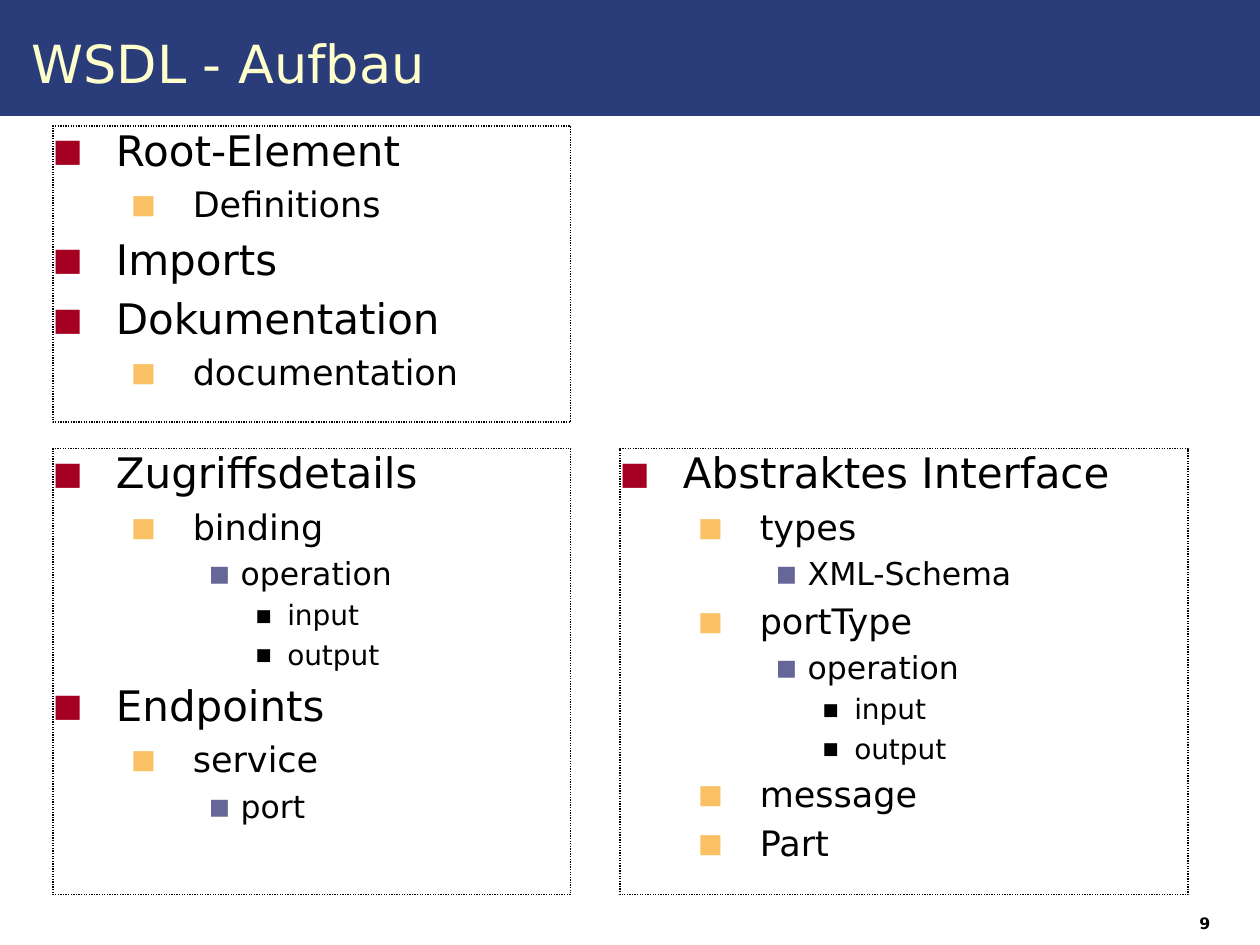
"""Build the slide on the structure of a WSDL document."""
from lxml import etree
from pptx import Presentation
from pptx.dml.color import RGBColor
from pptx.enum.dml import MSO_LINE
from pptx.enum.shapes import MSO_SHAPE
from pptx.enum.text import MSO_ANCHOR, MSO_AUTO_SIZE, PP_ALIGN
from pptx.oxml.ns import qn
from pptx.util import Inches, Pt

RECTANGLE = MSO_SHAPE.RECTANGLE
DOTTED = MSO_LINE.ROUND_DOT
TOP, MIDDLE, BOTTOM = MSO_ANCHOR.TOP, MSO_ANCHOR.MIDDLE, MSO_ANCHOR.BOTTOM
NO_AUTOFIT = MSO_AUTO_SIZE.NONE
LEFT = PP_ALIGN.LEFT
FONT = "DejaVu Sans"
CELL = Inches(0.1)
COLUMNS, ROWS = 100, 75

LEFT_COLUMN, RIGHT_COLUMN = (4.2, 41.1), (49.2, 45.1)
UPPER_ROW, LOWER_ROW = (10, 23.5), (35.6, 35.4)
LEVELS = [
    {"size": 24, "margin": 0.5, "hanging": 0.5, "before": 6, "color": "A50021", "bullet": 75},
    {"size": 20, "margin": 1.11, "hanging": 0.49, "before": 5, "color": "FAC164", "bullet": 75},
    {"size": 18, "margin": 1.49, "hanging": 0.25, "before": 4.5, "color": "666699", "bullet": 70},
    {"size": 16, "margin": 1.86, "hanging": 0.25, "before": 4, "color": "000000", "bullet": 60},
]
LISTS = {
    1: (LEFT_COLUMN, UPPER_ROW, [
        (0, "Root-Element"), (1, "Definitions"), (0, "Imports"),
        (0, "Dokumentation"), (1, "documentation")]),
    2: (RIGHT_COLUMN, LOWER_ROW, [
        (0, "Abstraktes Interface"), (1, "types"), (2, "XML-Schema"),
        (1, "portType"), (2, "operation"), (3, "input"), (3, "output"),
        (1, "message"), (1, "Part")]),
    4: (LEFT_COLUMN, LOWER_ROW, [
        (0, "Zugriffsdetails"), (1, "binding"), (2, "operation"),
        (3, "input"), (3, "output"), (0, "Endpoints"), (1, "service"), (2, "port")]),
}


def color(target, value):
    target.rgb = RGBColor.from_string(value)


def format_text(paragraph, size, value, bold=False):
    paragraph.alignment = LEFT
    paragraph.font.name = FONT
    paragraph.font.size = Pt(size)
    paragraph.font.bold = bold
    color(paragraph.font.color, value)


presentation = Presentation()
presentation.slide_width = COLUMNS * CELL
presentation.slide_height = ROWS * CELL
slide = presentation.slides.add_slide(presentation.slide_layouts.get_by_name("Comparison"))

title = slide.shapes.title
title.left, title.top, title.width, title.height = (
    int(cells * CELL) for cells in (2.5, 0, 95.8, 10))
title.text = "WSDL - Aufbau"
frame = title.text_frame
frame.auto_size = NO_AUTOFIT
frame.vertical_anchor = MIDDLE
frame.margin_left = frame.margin_top = frame.margin_right = frame.margin_bottom = 0
format_text(frame.paragraphs[0], 30, "FFFFCC")

band = slide.shapes.add_shape(RECTANGLE, 0, 0, COLUMNS * CELL, int(9.2 * CELL))
band.shadow.inherit = False
band.fill.solid()
color(band.fill.fore_color, "2A3D7A")
band.line.fill.background()
title.element.addprevious(band.element)

for body in list(slide.placeholders)[1:]:
    index = body.placeholder_format.idx
    if index not in LISTS:
        body.element.getparent().remove(body.element)
        continue
    (left, width), (top, height), items = LISTS[index]
    body.left, body.top, body.width, body.height = (
        int(cells * CELL) for cells in (left, top, width, height))
    body.line.width = Pt(0.75)
    body.line.dash_style = DOTTED
    color(body.line.color, "000000")
    frame = body.text_frame
    frame.auto_size = NO_AUTOFIT
    frame.vertical_anchor = TOP
    frame.margin_left = frame.margin_right = frame.margin_bottom = 0
    frame.margin_top = Inches(0.01)
    for position, (depth, text) in enumerate(items):
        level = LEVELS[depth]
        paragraph = frame.add_paragraph() if position else frame.paragraphs[0]
        paragraph.text = text
        paragraph.level = depth
        properties = paragraph._p.get_or_add_pPr()
        properties.set("marL", str(Inches(level["margin"])))
        properties.set("indent", str(-Inches(level["hanging"])))
        bullet_color = etree.SubElement(properties, qn("a:buClr"))
        etree.SubElement(bullet_color, qn("a:srgbClr"), val=level["color"])
        etree.SubElement(properties, qn("a:buSzPct"), val=str(level["bullet"] * 1000))
        etree.SubElement(properties, qn("a:buFont"), typeface=FONT)
        etree.SubElement(properties, qn("a:buChar"), char="■")
        paragraph.line_spacing = 0.97
        paragraph.space_before = Pt(level["before"] if position else 0)
        format_text(paragraph, level["size"], "000000")

number = slide.shapes.add_textbox(*(int(cells * CELL) for cells in (94.2, 71.9, 5.8, 2.6)))
frame = number.text_frame
frame.word_wrap = True
frame.vertical_anchor = BOTTOM
frame.text = "9"
format_text(frame.paragraphs[0], 9, "000000", bold=True)

presentation.save("out.pptx")
